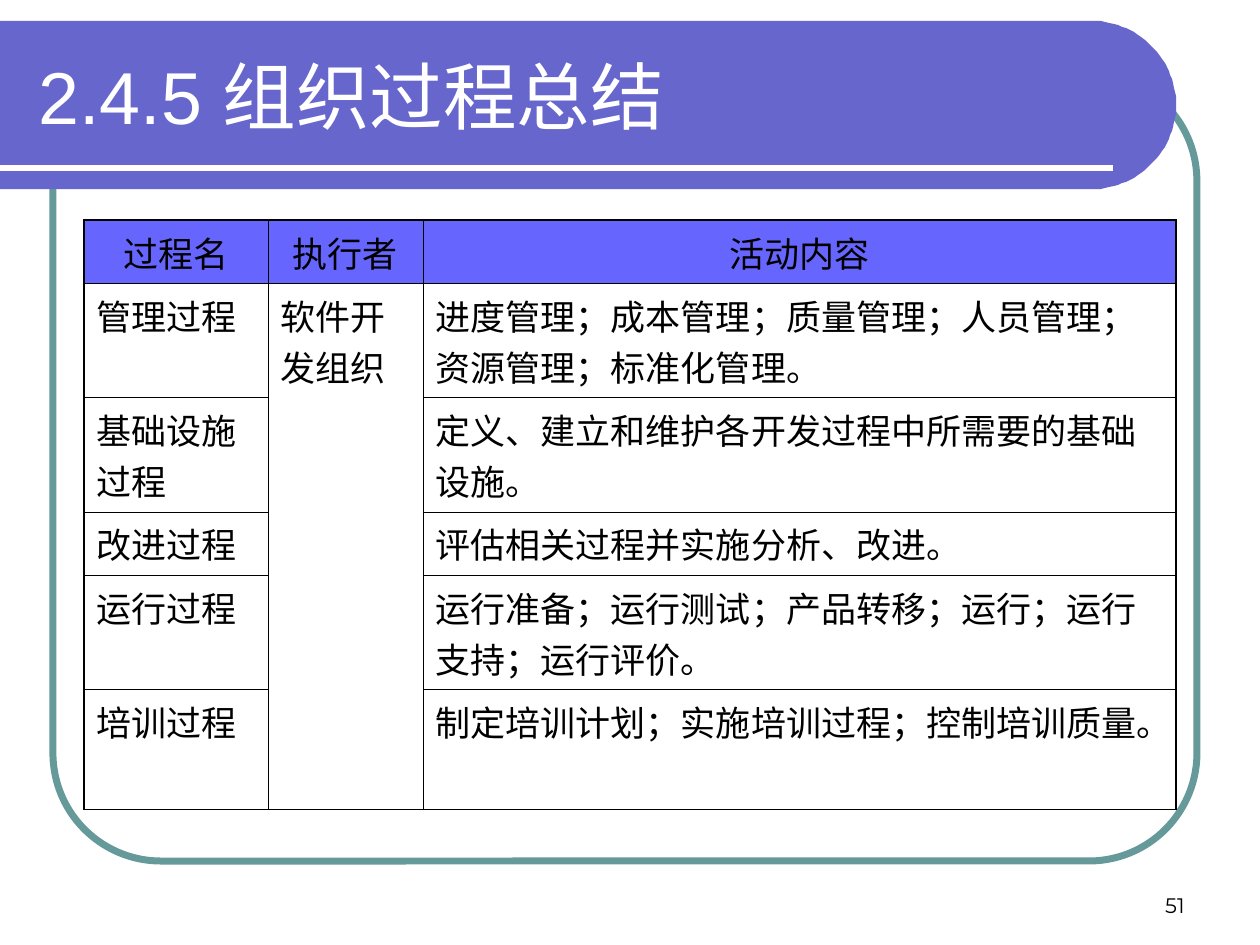
import math

import pptx
import pptx.dml.color
import pptx.enum.shapes
import pptx.enum.text
import pptx.oxml
import pptx.oxml.ns
import pptx.util

PX = 914400 / 126
THIN, THICK = 0.45, 1.08
ALIGN = pptx.enum.text.PP_ALIGN
ANCHOR = pptx.enum.text.MSO_ANCHOR

COLUMNS = [184, 155, 753]
ROWS = [54, 97, 101, 63, 113, 120]
CELLS = [
    ["过程名", "执行者", "活动内容"],
    ["管理过程", "软件开发组织", "进度管理；成本管理；质量管理；人员管理；资源管理；标准化管理。"],
    ["基础设施过程", "", "定义、建立和维护各开发过程中所需要的基础设施。"],
    ["改进过程", "", "评估相关过程并实施分析、改进。"],
    ["运行过程", "", "运行准备；运行测试；产品转移；运行；运行支持；运行评价。"],
    ["培训过程", "", "制定培训计划；实施培训过程；控制培训质量。"],
]


def px(*lengths):
    return [round(length * PX) for length in lengths]


def color(value):
    return pptx.dml.color.RGBColor.from_string(value)


def style(para, size, name, value, align):
    para.alignment = align
    para.font.size = pptx.util.Pt(size)
    para.font.name = name
    para.font.color.rgb = color(value)


def add_frame(page, left, top, width, height):
    frame = page.shapes.add_shape(
        pptx.enum.shapes.MSO_SHAPE.ROUNDED_RECTANGLE, *px(left, top, width, height))
    frame.adjustments[0] = 0.137
    frame.shadow.inherit = False
    frame.fill.background()
    frame.line.color.rgb = color("669999")
    frame.line.width = pptx.util.Pt(4)


def add_band(page, left, top, width, height):
    radius = height / 2
    center_x, center_y = left + width - radius, top + radius
    arc = [(center_x + radius * math.cos(math.radians(angle)),
            center_y + radius * math.sin(math.radians(angle)))
           for angle in range(-90, 91, 3)]
    builder = page.shapes.build_freeform(left, top, scale=PX)
    builder.add_line_segments(arc + [(left, top + height)], close=True)
    band = builder.convert_to_shape()
    band.shadow.inherit = False
    band.fill.solid()
    band.fill.fore_color.rgb = color("6666CC")
    band.line.fill.background()

    rule_y = top + height - 21
    rule = page.shapes.add_connector(
        pptx.enum.shapes.MSO_CONNECTOR.STRAIGHT,
        *px(left, rule_y, left + width - 63, rule_y))
    rule.line.color.rgb = color("FFFFFF")
    rule.line.width = pptx.util.Pt(3)
    properties = rule.element.spPr
    properties.append(properties.makeelement(pptx.oxml.ns.qn("a:effectLst"), {}))


def place_title(page, left, top, width, height):
    title = page.shapes.title
    title.left, title.top, title.width, title.height = px(left, top, width, height)
    title.element.getparent().append(title.element)
    title.text_frame.vertical_anchor = ANCHOR.MIDDLE
    para = title.text_frame.paragraphs[0]
    for text in ["2.4.5", " ", "组织过程总结"]:
        span = para.add_run()
        span.text = text
        if text == " ":
            span.font.element.set("spc", "1160") if hasattr(span.font, "element") else None
    style(para, 42, "Arial", "FFFFFF", ALIGN.LEFT)


def add_number(page, left, top, width, height):
    box = page.shapes.add_textbox(*px(left, top, width, height))
    box.text_frame.word_wrap = True
    box.text_frame.vertical_anchor = ANCHOR.BOTTOM
    para = box.text_frame.paragraphs[0]
    para.text = "51"
    style(para, 12, "Montserrat", "000000", ALIGN.RIGHT)


def set_borders(cell, outer_edges):
    properties = cell._tc.get_or_add_tcPr()
    for side, outer in zip("LRTB", outer_edges):
        width = pptx.util.Pt(THICK if outer else THIN)
        properties.append(pptx.oxml.parse_xml(
            f'<a:ln{side} {pptx.oxml.ns.nsdecls("a")} w="{width}">'
            f'<a:solidFill><a:srgbClr val="000000"/></a:solidFill></a:ln{side}>'))


def add_process_table(page, left, top):
    table = page.shapes.add_table(
        len(ROWS), len(COLUMNS), *px(left, top, sum(COLUMNS), sum(ROWS))).table
    table.first_row = False
    table.horz_banding = False
    for column, width in zip(table.columns, px(*COLUMNS)):
        column.width = width
    for row, height in zip(table.rows, px(*ROWS)):
        row.height = height
    last_row, last_column = len(ROWS) - 1, len(COLUMNS) - 1
    for i, texts in enumerate(CELLS):
        for j, text in enumerate(texts):
            cell = table.cell(i, j)
            set_borders(cell, [j == 0, j == last_column, i == 0, i == last_row])
            if i == 0:
                cell.fill.solid()
                cell.fill.fore_color.rgb = color("6666FF")
            else:
                cell.fill.background()
            para = cell.text_frame.paragraphs[0]
            para.text = text
            style(para, 20, "Arial", "000000", ALIGN.LEFT if i else ALIGN.CENTER)
    table.cell(1, 1).merge(table.cell(last_row, 1))


def main():
    deck = pptx.Presentation()
    deck.slide_width, deck.slide_height = px(1260, 945)
    page = deck.slides.add_slide(deck.slide_layouts[5])
    add_frame(page, 53, 73, 1144, 788)
    add_band(page, 0, 21, 1176, 168)
    add_number(page, 903, 861, 294, 63)
    place_title(page, 26, 32, 1105, 126)
    add_process_table(page, 84, 220)
    deck.save("out.pptx")


if __name__ == "__main__":
    main()
